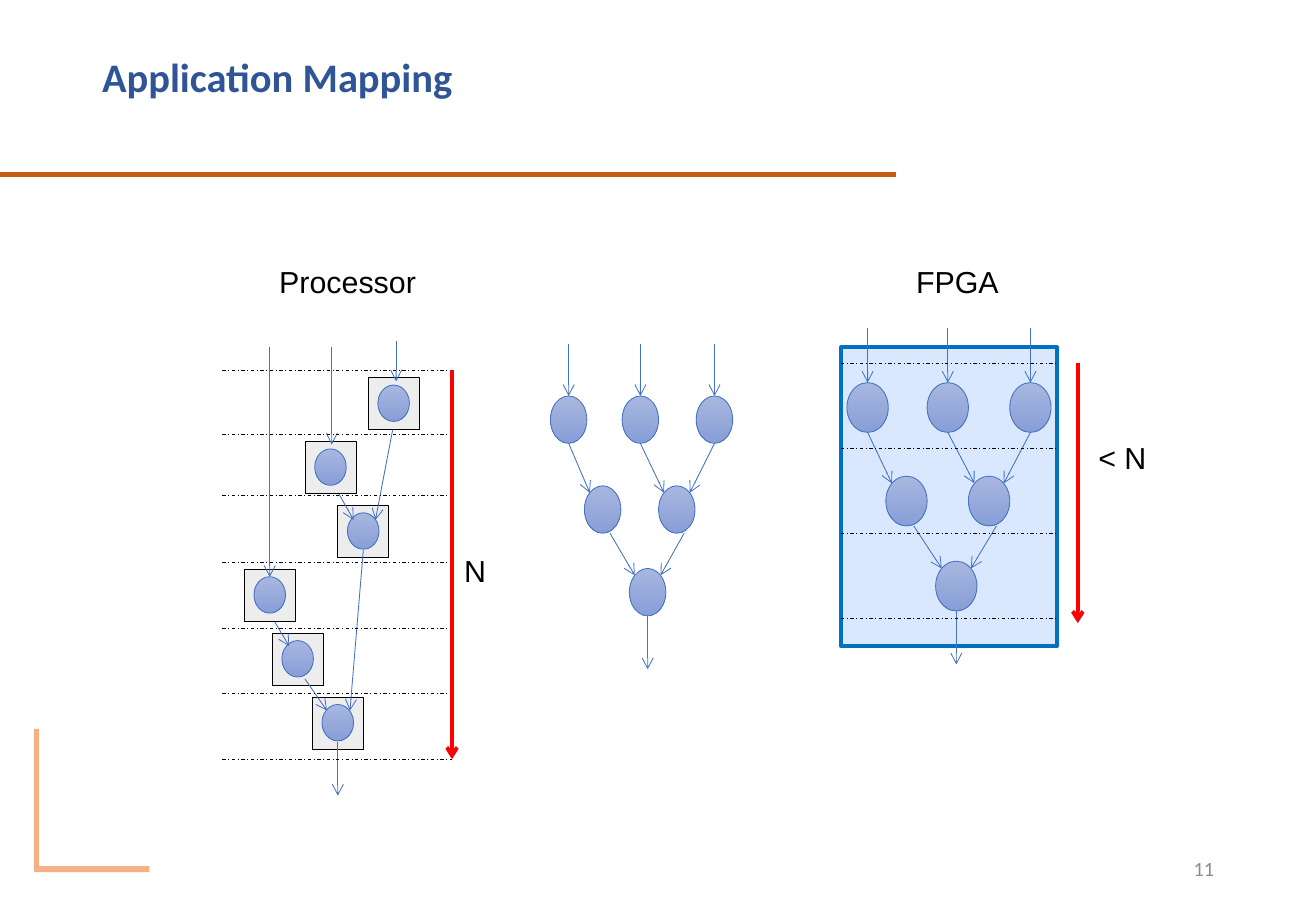
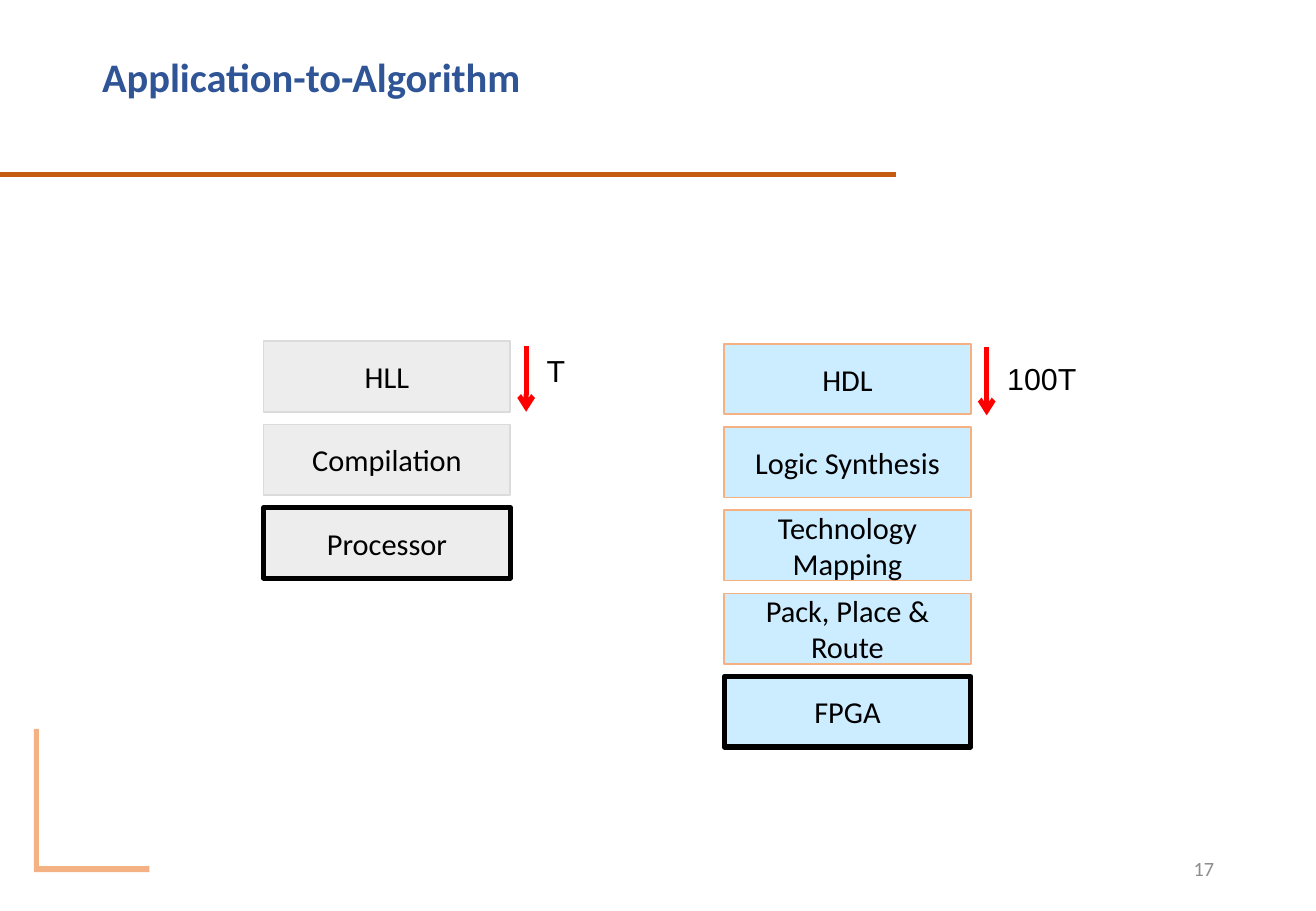
from dataclasses import dataclass

from lxml import etree
from pptx import Presentation
from pptx.dml.color import RGBColor
from pptx.enum.dml import MSO_LINE
from pptx.enum.shapes import MSO_CONNECTOR, MSO_SHAPE
from pptx.enum.text import MSO_ANCHOR, MSO_AUTO_SIZE, PP_ALIGN
from pptx.oxml.ns import qn
from pptx.util import Inches, Pt

RECTANGLE, ELLIPSE = MSO_SHAPE.RECTANGLE, MSO_SHAPE.OVAL
STRAIGHT = MSO_CONNECTOR.STRAIGHT
DASH_DOT = MSO_LINE.DASH_DOT
MIDDLE, TOP = MSO_ANCHOR.MIDDLE, MSO_ANCHOR.TOP
LEFT, CENTER, RIGHT = PP_ALIGN.LEFT, PP_ALIGN.CENTER, PP_ALIGN.RIGHT
NO_FIT = MSO_AUTO_SIZE.NONE

SLIDE_WIDTH, SLIDE_HEIGHT = Inches(10.83), Inches(7.5)
COLUMNS, ROWS = 10.83, 7.5
TITLE_ONLY = 5
CORNER = 0.146


@dataclass(frozen=True)
class Theme:
    title: str = "2F5597"
    rule: str = "C55A11"
    accent: str = "F4B183"
    page: str = "8C8C8C"
    ink: str = "000000"
    flow: str = "4472C4"
    node_top: str = "A8B7DF"
    node_bottom: str = "889ED7"
    time: str = "FF0000"
    grey: str = "EDEDED"
    grey_edge: str = "DBDBDB"
    chip: str = "0066FF"
    chip_edge: str = "0070C0"
    sky: str = "CCECFF"
    heading_font: str = "Calibri"
    label_font: str = "Arial"
    title_size: float = 24
    body_size: float = 18
    page_size: float = 12
    thin: float = 0.5
    edge: float = 1
    medium: float = 2.25
    thick: float = 3


THEME = Theme()


def column(count):
    return round(SLIDE_WIDTH * count / COLUMNS)


def row(count):
    return round(SLIDE_HEIGHT * count / ROWS)


def place(left, top, width, height):
    return column(left), row(top), column(width), row(height)


def apply(target, values):
    for name, value in values.items():
        setattr(target, name, value)


def write(frame, text, size, color, font, bold=False, align=LEFT,
          anchor=TOP, wrap=True, spacing=1.0):
    apply(frame, {"text": text, "word_wrap": wrap, "auto_size": NO_FIT,
                  "vertical_anchor": anchor})
    paragraph = frame.paragraphs[0]
    apply(paragraph, {"alignment": align, "line_spacing": spacing})
    apply(paragraph.font, {"size": Pt(size), "name": font, "bold": bold})
    paragraph.font.color.rgb = RGBColor.from_string(color)


def block(slide, kind, bounds, fill=None, edge=None, weight=THEME.thin):
    shape = slide.shapes.add_shape(kind, *place(*bounds))
    shape.shadow.inherit = False
    if fill:
        shape.fill.solid()
        shape.fill.fore_color.rgb = RGBColor.from_string(fill)
    if edge:
        shape.line.color.rgb = RGBColor.from_string(edge)
        shape.line.width = Pt(weight)
    else:
        shape.line.fill.background()
    return shape


def node(slide, bounds):
    operation = block(slide, ELLIPSE, bounds, edge=THEME.flow)
    operation.fill.gradient()
    operation.fill.gradient_angle = 270
    colors = (THEME.node_top, THEME.node_bottom)
    for stop, color in zip(operation.fill.gradient_stops, colors):
        stop.color.rgb = RGBColor.from_string(color)


def line(slide, start, end, color, weight, dash=None, arrow=False):
    connector = slide.shapes.add_connector(
        STRAIGHT, column(start[0]), row(start[1]), column(end[0]), row(end[1]))
    connector.line.color.rgb = RGBColor.from_string(color)
    connector.line.width = Pt(weight)
    if dash:
        connector.line.dash_style = dash
    if arrow:
        outline = connector.line._get_or_add_ln()
        etree.SubElement(outline, qn("a:tailEnd"), type="arrow")
    properties = connector._element.spPr
    etree.SubElement(properties, qn("a:effectLst"))


def flow(slide, start, end):
    line(slide, start, end, THEME.flow, THEME.thin, arrow=True)


def time_arrow(slide, x, top, bottom, weight):
    line(slide, (x, top), (x, bottom), THEME.time, weight, arrow=True)


def cycle_lines(slide, left, right, levels):
    for y in levels:
        line(slide, (left, y), (right, y), THEME.ink, THEME.thin, DASH_DOT)


def label(slide, text, left, top, width):
    box = slide.shapes.add_textbox(*place(left, top, width, 0.4))
    write(box.text_frame, text, THEME.body_size, THEME.ink, THEME.label_font,
          wrap=False)


def framed_slide(deck, title, number):
    slide = deck.slides.add_slide(deck.slide_layouts[TITLE_ONLY])
    for bounds in ((0.28, 7.13, 0.95, 0.05), (0.28, 6, 0.04, 1.17)):
        block(slide, RECTANGLE, bounds, THEME.accent)
    line(slide, (0, 1.44), (7.37, 1.44), THEME.rule, THEME.thick)
    heading = slide.shapes.title
    apply(heading, dict(zip(("left", "top", "width", "height"),
                            place(0.74, 0.34, 7.38, 0.62))))
    write(heading.text_frame, title, THEME.title_size, THEME.title,
          THEME.heading_font, bold=True, anchor=MIDDLE, spacing=0.9)
    page = slide.shapes.add_textbox(*place(7.65, 6.95, 2.44, 0.4))
    write(page.text_frame, str(number), THEME.page_size, THEME.page,
          THEME.heading_font, align=RIGHT, anchor=MIDDLE)
    return slide


def dataflow_tree(slide, levels, width, height, input_top):
    tiers = [[(left, top) for left in lefts] for top, lefts in levels]
    for left, top in sum(tiers, []):
        node(slide, (left, top, width, height))
    for left, top in tiers[0]:
        flow(slide, (left + width / 2, input_top), (left + width / 2, top))
    first, second, (result,) = tiers
    edges = [(first[0], second[0], CORNER, 0),
             (first[1], second[1], CORNER, 0),
             (first[2], second[1], 1 - CORNER, 0),
             (second[0], result, CORNER, 0.06),
             (second[1], result, 1 - CORNER, 0.06)]
    for source, target, share, shift in edges:
        flow(slide, (source[0] + width / 2 + shift, source[1] + height),
             (target[0] + width * share, target[1] + height * CORNER))
    x, bottom = result[0] + width / 2, result[1] + height
    flow(slide, (x, bottom), (x, bottom + 0.44))


def processor_schedule(slide):
    first_top, pitch, box_width, box_height = 3.11, 0.526, 0.42, 0.43
    steps = [
        (4, 2.24, [((2.22, 5.05), (2.38, 5.32))]),
        (2, 2.78, [((2.74, 3.98), (2.91, 4.28)), ((3.25, 3.44), (3.09, 4.28))]),
        (3, 2.01, [((2.22, 2.86), (2.22, 4.75))]),
        (1, 2.51, [((2.73, 2.86), (2.73, 3.66))]),
        (0, 3.03, [((3.26, 2.81), (3.26, 3.14))]),
        (5, 2.57, [((2.51, 5.59), (2.69, 5.85)), ((2.99, 4.53), (2.88, 5.85)),
                   ((2.78, 6.11), (2.78, 6.55))]),
    ]
    for step, left, arrows in steps:
        top = first_top + step * pitch
        block(slide, RECTANGLE, (left, top, box_width, box_height),
              THEME.grey, THEME.ink)
        node(slide, (left + 0.08, top + 0.06, 0.26, 0.3))
        for start, end in arrows:
            flow(slide, start, end)
    cycle_lines(slide, 1.83, 3.72, (3.05, 3.58, 4.08, 4.63, 5.17, 5.71, 6.25))


def mapping_slide(deck):
    slide = framed_slide(deck, "Application Mapping", 11)
    chip = block(slide, RECTANGLE, (6.92, 2.86, 1.78, 2.46), THEME.chip,
                 THEME.chip_edge, THEME.medium)
    chip_color = chip._element.spPr.find(qn("a:solidFill"))[0]
    etree.SubElement(chip_color, qn("a:alpha"), val="15000")
    processor_schedule(slide)
    dataflow_tree(slide, [(3.15, (6.97, 7.63, 8.31)), (3.92, (7.29, 7.97)),
                          (4.62, (7.7,))], 0.34, 0.41, 2.7)
    dataflow_tree(slide, [(3.26, (4.53, 5.12, 5.73)), (4, (4.81, 5.42)),
                          (4.68, (5.18,))], 0.3, 0.39, 2.83)
    cycle_lines(slide, 6.92, 8.71, [2.99 + 0.7 * cycle for cycle in range(4)])
    time_arrow(slide, 3.72, 3.05, 6.25, THEME.medium)
    time_arrow(slide, 8.87, 2.99, 5.13, THEME.medium)
    for text, left, top, width in (
            ("Processor", 2.2, 2.12, 1.34), ("FPGA", 7.44, 2.12, 0.89),
            ("N", 3.72, 4.5, 0.38), ("< N", 8.94, 3.57, 0.6)):
        label(slide, text, left, top, width)


def tool_stack(slide, stages, left, top, fill, edge):
    pitch, width, height = 0.685, 2.03, 0.58
    for index, stage in enumerate(stages):
        is_target = index == len(stages) - 1
        box = block(slide, RECTANGLE,
                    (left, top + index * pitch, width, height), fill,
                    THEME.ink if is_target else edge,
                    THEME.thick if is_target else THEME.edge)
        write(box.text_frame, stage, THEME.body_size, THEME.ink,
              THEME.heading_font, align=CENTER, anchor=MIDDLE)


def algorithm_slide(deck):
    slide = framed_slide(deck, "Application-to-Algorithm", 17)
    time_arrow(slide, 4.33, 2.85, 3.39, THEME.thick)
    label(slide, "T", 4.4, 2.85, 0.35)
    time_arrow(slide, 8.12, 2.86, 3.42, THEME.thick)
    label(slide, "100T", 8.19, 2.92, 0.78)
    tool_stack(slide, ("HDL", "Logic Synthesis", "Technology Mapping",
                       "Pack, Place & Route", "FPGA"),
               5.96, 2.83, THEME.sky, THEME.accent)
    tool_stack(slide, ("HLL", "Compilation", "Processor"),
               2.17, 2.81, THEME.grey, THEME.grey_edge)


def main():
    deck = Presentation()
    apply(deck, {"slide_width": SLIDE_WIDTH, "slide_height": SLIDE_HEIGHT})
    mapping_slide(deck)
    algorithm_slide(deck)
    deck.save("out.pptx")


if __name__ == "__main__":
    main()
